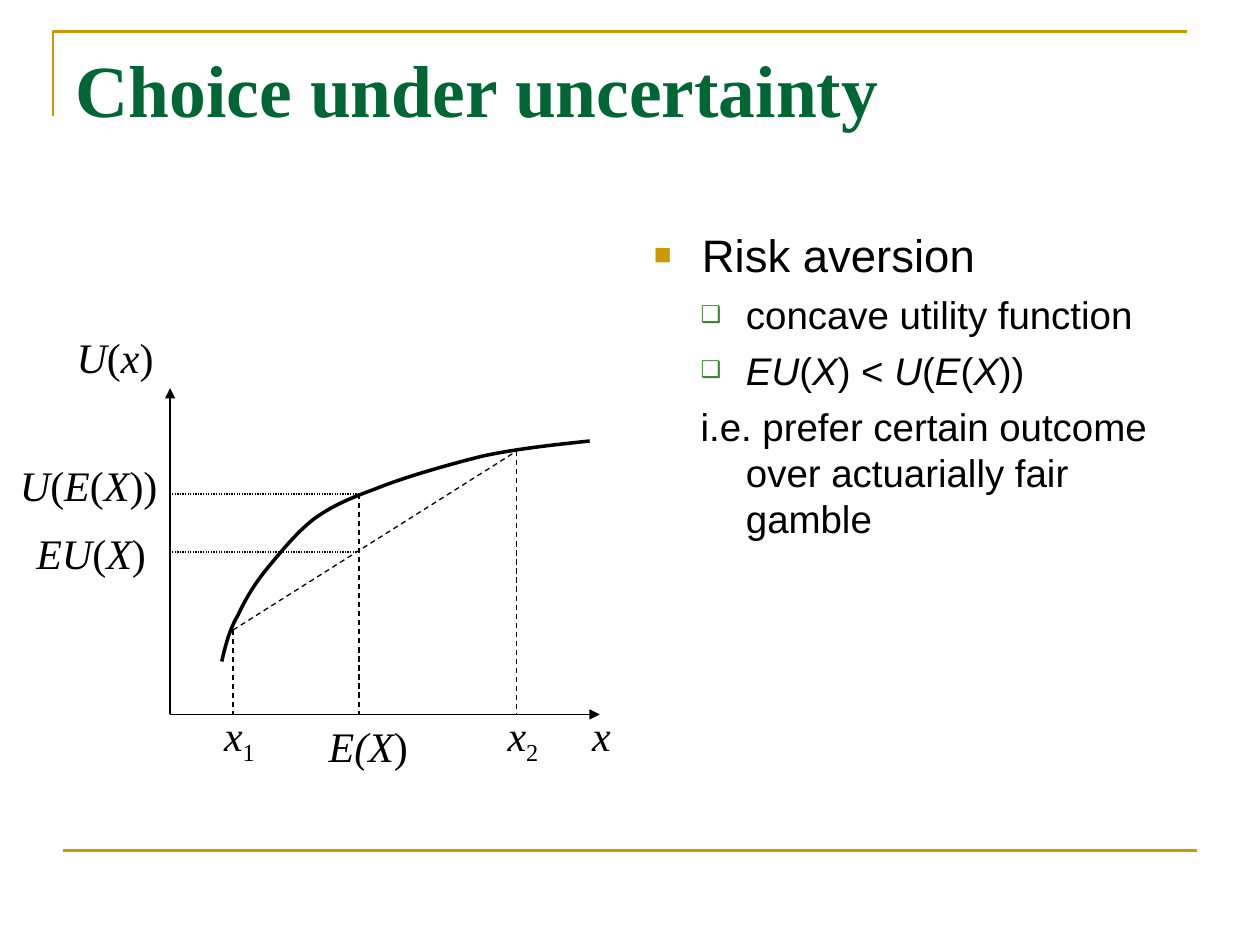
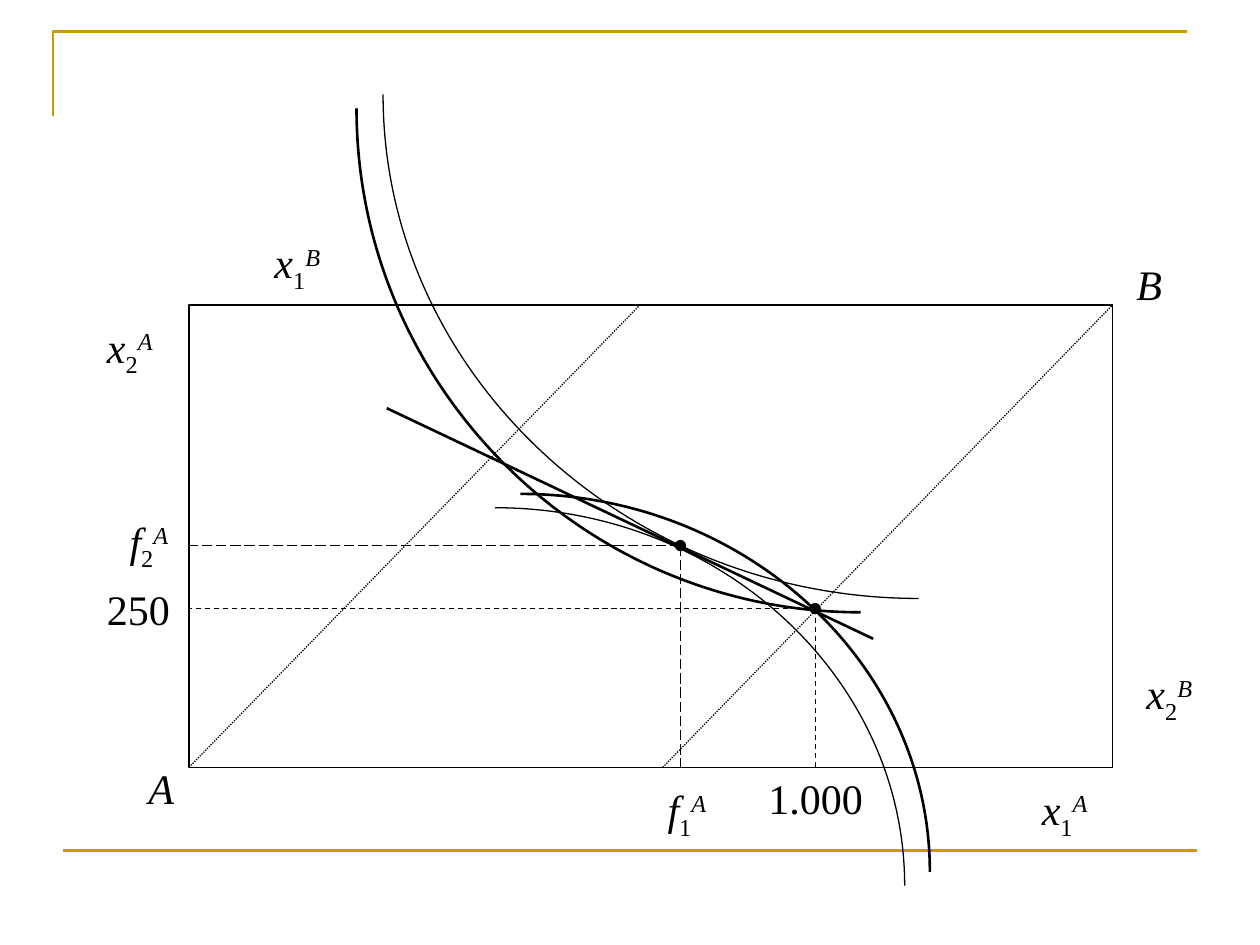
from lxml import etree
from pptx import Presentation
from pptx import util as u
from pptx.dml.color import RGBColor
from pptx.enum import dml, shapes, text
from pptx.oxml import ns

COLS, ROWS = 10, 7.5
WIDE, HIGH = u.Inches(10), u.Inches(7.5)
HUES = {"gold": "CC9900", "green": "006633", "leaf": "3B812F", "ink": "000000"}
SERIF, SANS = "Times New Roman", "Arial"
DASH, DOT, LONG = (dml.MSO_LINE.DASH, dml.MSO_LINE.ROUND_DOT,
                   dml.MSO_LINE.LONG_DASH)
ARC = 0.55


def grid(*spots):
    units = (WIDE / COLS, HIGH / ROWS)
    return [round(spot * units[i % 2]) for i, spot in enumerate(spots)]


def hue(name):
    return RGBColor.from_string(HUES[name])


def add_tag(parent, tag, **attrs):
    return etree.SubElement(parent, ns.qn(tag), attrs)


def stroke(line, width, color="ink"):
    line.color.rgb = hue(color)
    line.width = u.Pt(width)


def style(para, face, size, color="ink", bold=False):
    font = para.font
    font.name, font.size, font.bold = face, u.Pt(size), bold
    font.color.rgb = hue(color)


def write(para, words):
    for i, part in enumerate(words.split("*")):
        if part:
            run = para.add_run()
            run.text = part
            if i % 2:
                run.font.italic = True


def shift(para, words, amount, slant=False):
    if words:
        run = para.add_run()
        run.text = words
        run.font.italic = slant
        run.font._element.set("baseline", str(amount * 1000))


def label(slide, x, y, wide, words, sub="", sup=""):
    box = slide.shapes.add_textbox(*grid(x, y, wide, 0.56 if sub else 0.5))
    frame = box.text_frame
    frame.word_wrap = True
    para = frame.paragraphs[0]
    style(para, SERIF, 24)
    write(para, words)
    shift(para, sub, -25)
    shift(para, sup, 30, True)


def rule(slide, start, end, width=0.75, dash=None, color="ink", arrow=False):
    link = slide.shapes.add_connector(
        shapes.MSO_CONNECTOR.STRAIGHT, *grid(*start, *end))
    stroke(link.line, width, color)
    if dash:
        link.line.dash_style = dash
    if arrow:
        add_tag(link.line._get_or_add_ln(), "a:tailEnd", type="triangle")
    add_tag(link._element.spPr, "a:effectLst")


def trace(slide, points, width, color="ink"):
    spots = [grid(*point) for point in points]
    pen = slide.shapes.build_freeform(*spots[0])
    pen.add_line_segments(spots[1:], close=False)
    shape = pen.convert_to_shape()
    shape.shadow.inherit = False
    shape.fill.background()
    stroke(shape.line, width, color)
    return shape


def curve(slide, knots, width):
    shape = trace(slide, knots, width)
    legs = list(shape._element.iter(ns.qn("a:lnTo")))
    track = legs[0].getparent()
    for i in range(0, len(legs), 3):
        bend = add_tag(track, "a:cubicBezTo")
        for leg in legs[i:i + 3]:
            bend.append(leg[0])
            track.remove(leg)


def bow(slide, flat, steep, width):
    (x, y), (p, q) = flat, steep
    curve(slide, [flat, (x + (p - x) * ARC, y),
                  (p, q + (y - q) * ARC), steep], width)


def dot(slide, x, y, size=0.08):
    mark = slide.shapes.add_shape(
        shapes.MSO_SHAPE.OVAL, *grid(x - size / 2, y - size / 2, size, size))
    mark.shadow.inherit = False
    mark.fill.solid()
    mark.fill.fore_color.rgb = hue("ink")
    stroke(mark.line, 0.75)


def trim(slide):
    trace(slide, [(0.42, 0.92), (0.42, 0.25), (9.42, 0.25)], 1.5, "gold")
    rule(slide, (0.5, 6.75), (9.5, 6.75), 1.5, color="gold")


def place(holder, *spots):
    holder.left, holder.top, holder.width, holder.height = grid(*spots)
    frame = holder.text_frame
    frame.auto_size = text.MSO_AUTO_SIZE.NONE
    frame.word_wrap = True
    frame.vertical_anchor = text.MSO_ANCHOR.TOP
    return frame


def head(slide, words):
    frame = place(slide.shapes.title, 0.5, 0.3, 9, 1.25)
    para = frame.paragraphs[0]
    para.alignment = text.PP_ALIGN.LEFT
    style(para, SERIF, 42, "green", True)
    write(para, words)


def item(para, words, level, mark=True):
    size, left, hang, before, sign, color, share = (
        (26, 0.38, 0.38, 6.5, "■", "gold", 65),
        (22, 0.73, 0.36, 5.5, "❑", "leaf", 60))[level]
    para.level = level
    para.space_before = u.Pt(before)
    props = para._p.get_or_add_pPr()
    props.set("marL", str(u.Inches(left)))
    props.set("indent", str(-u.Inches(hang)))
    if mark:
        tint = add_tag(props, "a:buClr")
        add_tag(tint, "a:srgbClr", val=HUES[color])
        add_tag(props, "a:buSzPct", val=str(share * 1000))
        add_tag(props, "a:buFont", typeface=SANS)
        add_tag(props, "a:buChar", char=sign)
    else:
        add_tag(props, "a:buNone")
    style(para, SANS, size)
    write(para, words)


def risk(deck):
    slide = deck.slides.add_slide(deck.slide_layouts[1])
    trim(slide)
    head(slide, "Choice under uncertainty")
    frame = place(slide.placeholders[1], 5.09, 1.75, 4.41, 4.95)
    items = [("Risk aversion", 0), ("concave utility function", 1),
             ("*EU*(*X*) < *U*(*E*(*X*))", 1),
             ("i.e. prefer certain outcome over actuarially fair gamble",
              1, False)]
    for i, entry in enumerate(items):
        item(frame.add_paragraph() if i else frame.paragraphs[0], *entry)

    left, base = 1.35, 5.67
    low, mean, high = (1.85, 5), (2.85, 3.92), (4.1, 3.58)
    for tip in ((4.76, base), (left, 3.08)):
        rule(slide, (left, base), tip, arrow=True)
    curve(slide, [(1.76, 5.25), (1.79, 5.12), (1.82, 5), (1.89, 4.88),
                  (1.95, 4.75), (2.03, 4.62), (2.13, 4.5),
                  (2.23, 4.38), (2.35, 4.23), (2.49, 4.12),
                  (2.63, 4.02), (2.76, 3.96), (2.98, 3.88),
                  (3.2, 3.79), (3.55, 3.69), (3.83, 3.62),
                  (4.11, 3.56), (4.4, 3.53), (4.68, 3.5)], 2)
    for spot in (low, mean, high):
        rule(slide, spot, (spot[0], base), dash=DASH)
    rule(slide, low, high, dash=DASH)
    for y in (mean[1], 4.38):
        rule(slide, (mean[0], y), (left, y), dash=DOT)
    for tag in ((4.6, 5.58, 0.42, "*x*"), (0.51, 2.58, 0.92, "*U*(*x*)"),
                (1.68, 5.58, 0.5, "*x*", "1"), (3.93, 5.58, 0.5, "*x*", "2"),
                (2.51, 5.67, 0.92, "*E(X*)"),
                (0.06, 3.6, 1.35, "*U*(*E*(*X*))"),
                (0.19, 4.14, 1.1, "*EU*(*X*)")):
        label(slide, *tag)


def trade(deck):
    slide = deck.slides.add_slide(deck.slide_layouts[6])
    trim(slide)
    left, top, right, base = 1.5, 2.42, 8.83, 6.09
    bow(slide, (6.83, 4.86), (2.83, 0.86), 1.5)
    bow(slide, (3.93, 4.03), (7.18, 7.03), 0.75)
    bow(slide, (7.29, 4.75), (3.04, 0.75), 0.75)
    bow(slide, (4.13, 3.92), (7.38, 6.92), 1.5)
    box = slide.shapes.add_shape(
        shapes.MSO_SHAPE.RECTANGLE, *grid(left, top, right - left, base - top))
    box.shadow.inherit = False
    box.fill.background()
    stroke(box.line, 0.75)
    for x, y, dash in ((6.47, 4.83, DASH), (5.4, 4.33, LONG)):
        rule(slide, (x, y), (x, base), dash=dash)
        rule(slide, (x, y), (left, y), dash=dash)
        dot(slide, x, y)
    rule(slide, (left, base), (5.08, top), dash=DOT)
    rule(slide, (5.26, base), (right, top), dash=DOT)
    rule(slide, (6.93, 5.07), (3.07, 3.24), 1.5)
    for tag in ((6, 6.08, 1.08, "1.000"), (0.75, 4.58, 0.75, "250"),
                (8.92, 2, 0.58, "*B*"), (1.08, 6, 0.58, "*A*"),
                (8.17, 6.17, 0.75, "*x*", "1", "A"),
                (0.75, 2.5, 0.75, "*x*", "2", "A"),
                (2.08, 1.83, 0.75, "*x*", "1", "B"),
                (9, 5.25, 0.75, "*x*", "2", "B"),
                (5.2, 6.17, 0.74, "*f*", "1", "A"),
                (0.93, 4.04, 0.74, "*f*", "2", "A")):
        label(slide, *tag)


def main():
    deck = Presentation()
    deck.slide_width, deck.slide_height = WIDE, HIGH
    risk(deck)
    trade(deck)
    deck.save("out.pptx")


if __name__ == "__main__":
    main()
